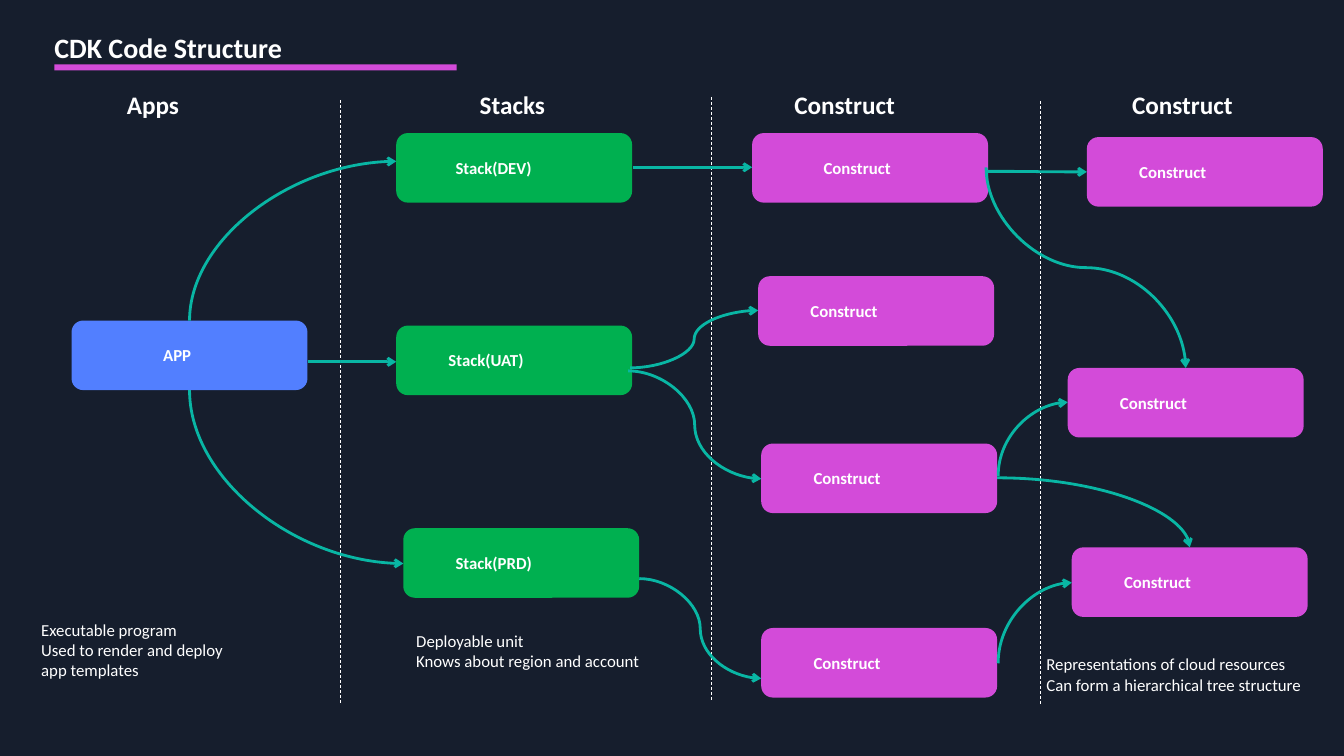
from pptx import Presentation
from pptx import util as u
from pptx.dml.color import RGBColor
from pptx.enum import dml, shapes, text
from pptx.oxml import ns, xmlchemy

NAVY = RGBColor(0x16, 0x1E, 0x2D)
WHITE = RGBColor(0xFF, 0xFF, 0xFF)
BLUE = RGBColor(0x52, 0x7F, 0xFF)
GREEN = RGBColor(0x00, 0xB0, 0x50)
MAGENTA = RGBColor(0xD3, 0x4B, 0xD9)
TEAL = RGBColor(0x09, 0xB6, 0xA4)

# Grid: 133.3 columns by 75 rows over the whole slide
WIDTH, HEIGHT = u.Inches(13.33), u.Inches(7.5)
COLUMN, ROW = WIDTH / 133.3, HEIGHT / 75
NODE_WIDTH, NODE_HEIGHT = 23.4, 6.9
LABEL_DROP, LABEL_HEIGHT = 1.95, 3
FONT = "Calibri"

# Nodes: column, row, fill, label, label indent, label width
NODES = [
    (7.1, 31.8, BLUE, "APP", 8.1, 5.7),
    (39.3, 13.2, GREEN, "Stack(DEV)", 4.9, 12.6),
    (39.3, 32.3, GREEN, "Stack(UAT)", 4.2, 12.3),
    (40, 52.4, GREEN, "Stack(PRD)", 4.2, 12.6),
    (74.6, 13.2, MAGENTA, "Construct", 6.1, 11.1),
    (75.2, 27.4, MAGENTA, "Construct", 4.2, 11.1),
    (75.5, 44, MAGENTA, "Construct", 4.2, 11.1),
    (75.5, 62.3, MAGENTA, "Construct", 4.2, 11.1),
    (107.8, 13.6, MAGENTA, "Construct", 4.2, 11.1),
    (105.9, 36.5, MAGENTA, "Construct", 4.2, 11.1),
    (106.3, 54.3, MAGENTA, "Construct", 4.2, 11.1),
]

# Headings: column, width, wording
HEADINGS = [
    (11.6, 9.4, "Apps"),
    (46.6, 11.4, "Stacks"),
    (77.8, 16.4, "Construct"),
    (111.3, 17.2, "Construct"),
]

# Notes: column, row, width, height, lines
NOTES = [
    (3.1, 61, 22.5, 7.1,
     ["Executable program", "Used to render and deploy", "app templates"]),
    (40.3, 62.1, 26.6, 5,
     ["Deployable unit", "Knows about region and account"]),
    (102.8, 64.4, 30.3, 5,
     ["Representations of cloud resources",
      "Can form a hierarchical tree structure"]),
]

# Column dividers: column, first row, last row
DIVIDERS = [(33.8, 9.9, 69.8), (70.6, 9.6, 69.5), (103.2, 10, 69.9)]

# Links: start, end, number of bends, whether the link leaves vertically
LINKS = [
    ((18.8, 31.8), (39.3, 16), 1, True),
    ((18.8, 38.7), (40, 55.9), 1, True),
    ((30.5, 35.9), (39.3, 35.9), 1, False),
    ((62.3, 36.8), (75.5, 47.5), 2, False),
    ((62.8, 16.6), (74.6, 16.6), 2, False),
    ((63.4, 57.4), (75.5, 67.3), 2, False),
    ((62.5, 36.5), (75.2, 30.8), 2, False),
    ((97.8, 17), (107.8, 17.05), 2, False),
    ((97.8, 16.6), (117.6, 36.5), 2, True),
    ((98.9, 47.4), (118, 54.3), 1, False),
    ((99, 65.8), (106.3, 57.8), 1, True),
    ((99, 47.2), (105.9, 39.9), 1, True),
]


def across(columns):
    return u.Emu(round(columns * COLUMN))


def down(rows):
    return u.Emu(round(rows * ROW))


def add_block(slide, kind, column, row, width, height, fill):
    block = slide.shapes.add_shape(
        kind, across(column), down(row), across(width), down(height))
    block.shadow.inherit = False
    block.fill.solid()
    block.fill.fore_color.rgb = fill
    block.line.fill.background()


def add_words(slide, column, row, width, height, lines, size,
              bold=False, wrap=False):
    words = slide.shapes.add_textbox(
        across(column), down(row), across(width), down(height))
    frame = words.text_frame
    frame.word_wrap = wrap
    frame.auto_size = text.MSO_AUTO_SIZE.SHAPE_TO_FIT_TEXT
    for number, line in enumerate(lines):
        paragraph = frame.add_paragraph() if number else frame.paragraphs[0]
        run = paragraph.add_run()
        run.text = line
        run.font.name = FONT
        run.font.size = u.Pt(size)
        run.font.bold = bold
        run.font.color.rgb = WHITE


def add_node(slide, column, row, fill, label, indent, label_width):
    add_block(slide, shapes.MSO_SHAPE.ROUNDED_RECTANGLE, column, row,
              NODE_WIDTH, NODE_HEIGHT, fill)
    add_words(slide, column + indent, row + LABEL_DROP, label_width,
              LABEL_HEIGHT, [label], 12, bold=True)


def add_line(slide, kind, start, end, color, weight):
    line = slide.shapes.add_connector(
        kind, across(start[0]), down(start[1]), across(end[0]), down(end[1]))
    line.line.color.rgb = color
    line.line.width = u.Pt(weight)
    properties = line._element.spPr
    properties.append(xmlchemy.OxmlElement("a:effectLst"))
    return line, properties


def add_divider(slide, column, first_row, last_row):
    divider, _ = add_line(slide, shapes.MSO_CONNECTOR.STRAIGHT,
                          (column, first_row), (column, last_row), WHITE, 0.5)
    divider.line.dash_style = dml.MSO_LINE.DASH


def add_link(slide, start, end, bends, vertical):
    begin, finish, turn = start, end, 0
    if vertical:
        # Lay the curve flat about its midpoint, then turn it up or down
        middle = [(a + b) / 2 for a, b in zip(start, end)]
        half_run = abs(end[1] - start[1]) / 2
        half_rise = (end[0] - start[0]) / 2
        turn = 90 if end[1] > start[1] else 270
        if turn == 90:
            half_rise = -half_rise
        begin = (middle[0] - half_run, middle[1] - half_rise)
        finish = (middle[0] + half_run, middle[1] + half_rise)
    link, properties = add_line(
        slide, shapes.MSO_CONNECTOR.CURVE, begin, finish, TEAL, 2)
    if turn:
        properties.find(ns.qn("a:xfrm")).set("rot", str(turn * 60000))
    properties.find(ns.qn("a:prstGeom")).set(
        "prst", f"curvedConnector{bends + 1}")
    arrow = xmlchemy.OxmlElement("a:tailEnd")
    arrow.set("type", "arrow")
    properties.find(ns.qn("a:ln")).append(arrow)


def main():
    deck = Presentation()
    deck.slide_width, deck.slide_height = WIDTH, HEIGHT
    slide = deck.slides.add_slide(deck.slide_layouts[6])
    slide.background.fill.solid()
    slide.background.fill.fore_color.rgb = NAVY

    # Title with its underline
    add_words(slide, 4.4, 2.5, 33.1, 4.4, ["CDK Code Structure"], 20, bold=True)
    add_block(slide, shapes.MSO_SHAPE.RECTANGLE, 5.4, 6.4, 39.9, 0.6, MAGENTA)

    # Tree of app, stacks and constructs
    for node in NODES:
        add_node(slide, *node)
    for divider in DIVIDERS:
        add_divider(slide, *divider)
    for link in LINKS:
        add_link(slide, *link)

    # Column headings and notes
    for column, width, heading in HEADINGS:
        add_words(slide, column, 8.4, width, 4, [heading], 18,
                  bold=True, wrap=True)
    for note in NOTES:
        add_words(slide, *note, 12)

    deck.save("out.pptx")


if __name__ == "__main__":
    main()
